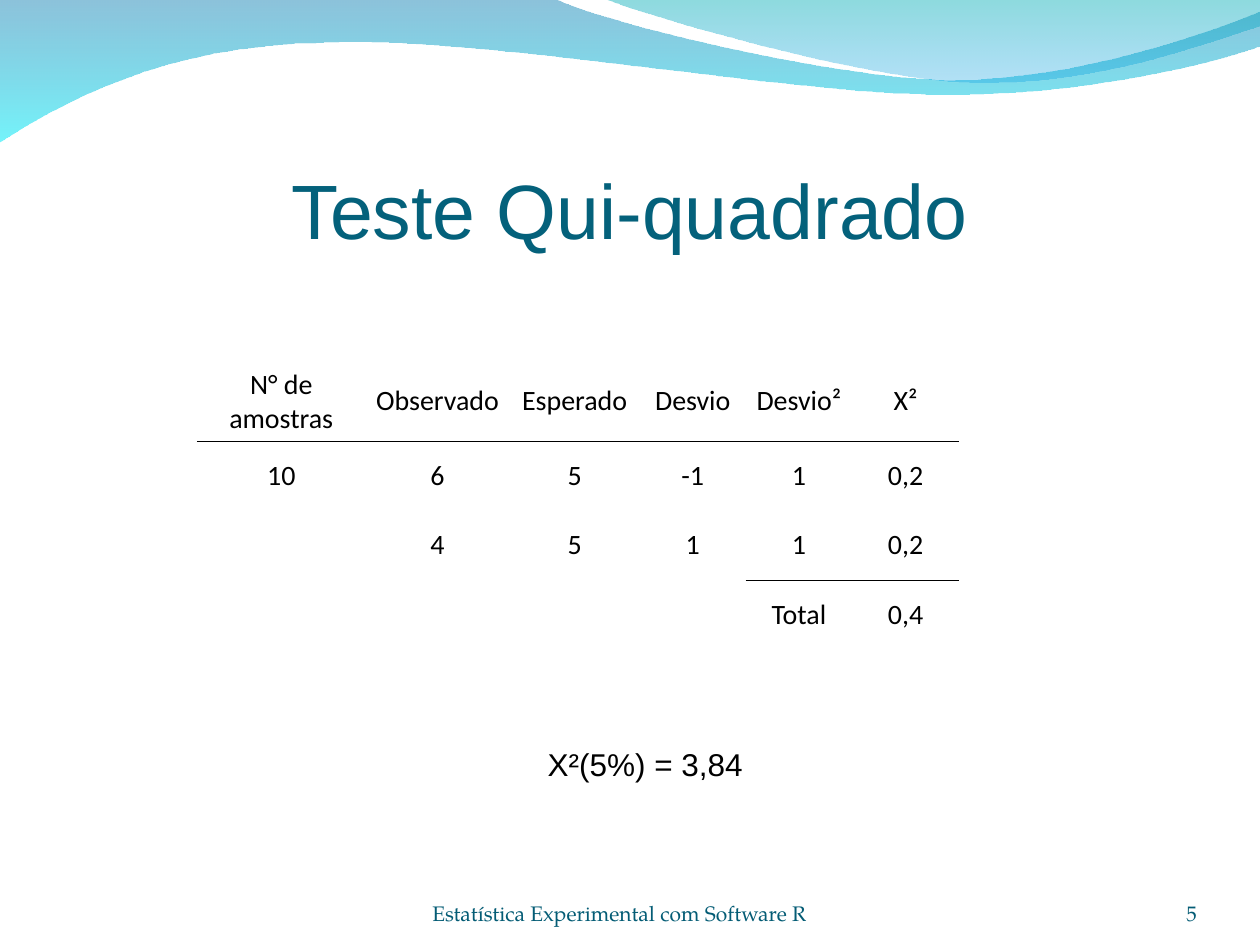
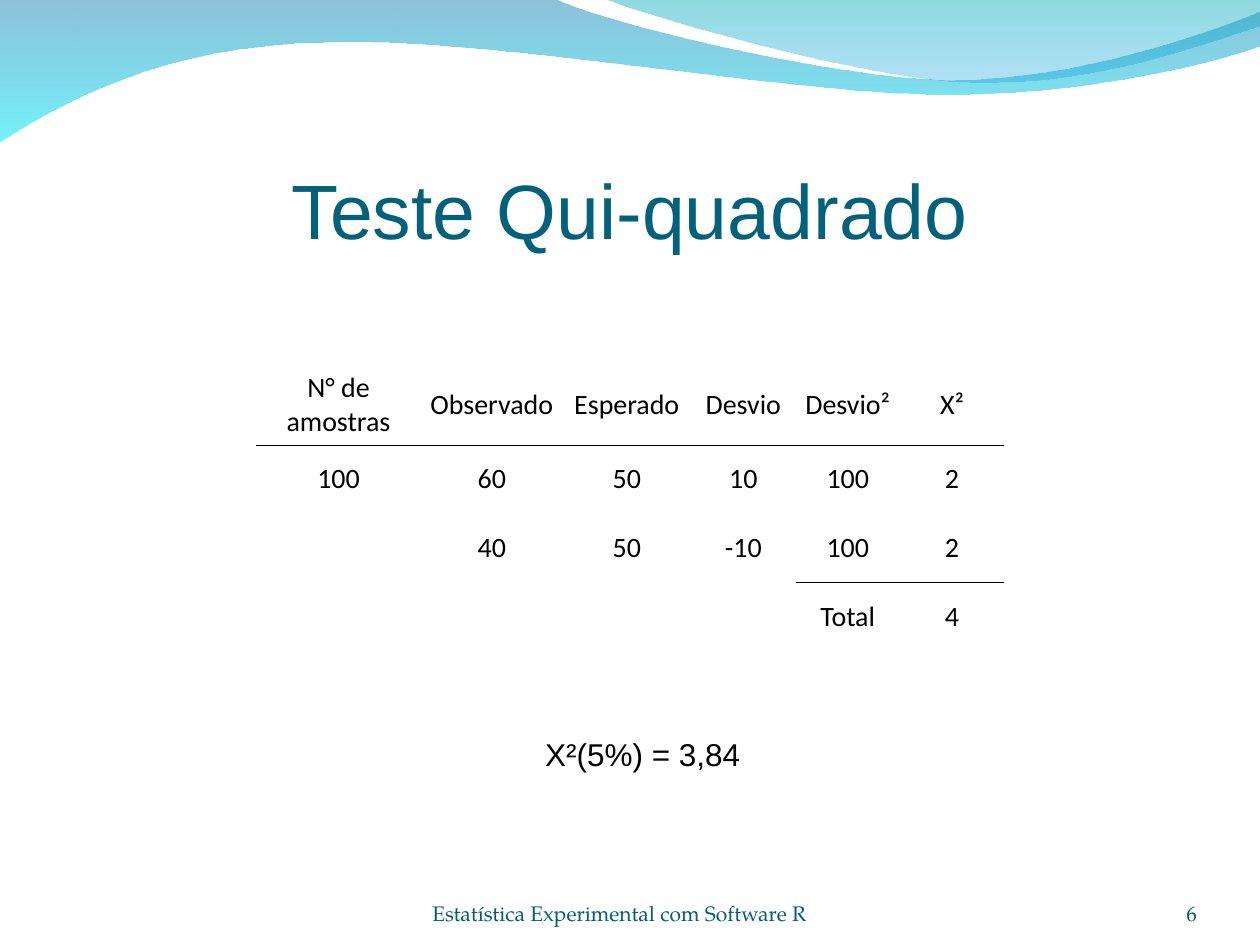
from dataclasses import dataclass

from lxml.etree import SubElement
from pptx import Presentation
from pptx.dml.color import RGBColor
from pptx.enum.text import MSO_ANCHOR, MSO_AUTO_SIZE, PP_ALIGN
from pptx.oxml.ns import qn
from pptx.slide import Slide
from pptx.table import _Cell
from pptx.text.text import TextFrame
from pptx.util import Cm, Pt

COLOURS = {
    "title": "04617B",
    "footer": "045C75",
    "text": "000000",
    "blue": "0079AF",
    "cyan": "00EBF8",
    "teal": "00ADB6",
    "sky": "009BE5",
}
NO_STYLE = "{2D5ABB26-0587-4C30-8999-92F81FD0307C}"
RULE_WIDTH = Pt(0.23)
HEADINGS = ("N° de amostras", "Observado", "Esperado", "Desvio", "Desvio²", "X²")
FIRST_RULED_COLUMN = {0: 0, 2: 4}

Point = tuple[float, float]


@dataclass(frozen=True)
class TextStyle:
    font: str
    size: float
    colour: str
    align: PP_ALIGN
    frame: dict


@dataclass(frozen=True)
class Wave:
    start: Point
    segments: tuple[tuple[Point, ...], ...]
    stops: tuple[tuple[str, int], ...]


@dataclass(frozen=True)
class TestPage:
    number: str
    table_left: float
    table_top: float
    columns: tuple[float, ...]
    row_height: float
    rows: tuple[tuple[str, ...], ...]
    critical_left: float
    critical_top: float


def frame_format(left: float, top: float, right: float, bottom: float, **extra) -> dict:
    return {
        "margin_left": Cm(left),
        "margin_top": Cm(top),
        "margin_right": Cm(right),
        "margin_bottom": Cm(bottom),
        **extra,
    }


FOOTER_FRAME = frame_format(0, 0, 0, 0, vertical_anchor=MSO_ANCHOR.BOTTOM, word_wrap=True)
TITLE_FRAME = frame_format(
    0, 0.13, 0, 0, vertical_anchor=MSO_ANCHOR.BOTTOM, word_wrap=True, auto_size=MSO_AUTO_SIZE.NONE
)
CRITICAL_FRAME = frame_format(
    0.25, 0.13, 0.25, 0.13, word_wrap=False, auto_size=MSO_AUTO_SIZE.SHAPE_TO_FIT_TEXT
)
CELL_FORMAT = frame_format(0.03, 0.13, 0.03, 0.13, vertical_anchor=MSO_ANCHOR.MIDDLE)

TITLE = TextStyle("Arial", 44, "title", PP_ALIGN.CENTER, TITLE_FRAME)
FOOTER = TextStyle("TeX Gyre Pagella", 12, "footer", PP_ALIGN.CENTER, FOOTER_FRAME)
NUMBER = TextStyle("TeX Gyre Pagella", 12, "footer", PP_ALIGN.RIGHT, FOOTER_FRAME)
CRITICAL = TextStyle("Arial", 18, "text", PP_ALIGN.LEFT, CRITICAL_FRAME)
CELL = TextStyle("Calibri", 16, "text", PP_ALIGN.CENTER, {})

WAVES = (
    Wave(
        (0, -0.03),
        (
            ((11.18, -0.03),),
            ((12.09, 0.43), (16.87, 1.6), (19.25, 1.6)),
            ((21.67, 1.6), (24.33, 0.66), (25.4, 0.23)),
            ((25.43, 0.91),),
            ((24.97, 1.12), (22.1, 1.93), (18.95, 1.9)),
            ((15.8, 1.9), (9.7, 0.71), (6.53, 0.86)),
            ((3.28, 0.89), (1.17, 2.11), (-0.03, 2.87)),
            ((0, -0.03),),
        ),
        (("blue", 45), ("cyan", 55)),
    ),
    Wave(
        (12.17, -0.03),
        (
            ((12.93, 0.28), (17.32, 1.57), (19.53, 1.65)),
            ((22.1, 1.75), (24.41, 0.81), (25.4, 0.53)),
            ((25.4, 0),),
            ((12.17, -0.03),),
        ),
        (("teal", 45), ("sky", 30)),
    ),
)

PAGES = (
    TestPage(
        "5", 3.97, 7.28, (3.4, 2.9, 2.63, 2.13, 2.15, 2.15), 1.4,
        (
            ("10", "6", "5", "-1", "1", "0,2"),
            ("", "4", "5", "1", "1", "0,2"),
            ("", "", "", "", "Total", "0,4"),
        ),
        10.79, 14.88,
    ),
    TestPage(
        "6", 5.16, 7.35, (3.33, 2.85, 2.59, 2.11, 2.1, 2.1), 1.39,
        (
            ("100", "60", "50", "10", "100", "2"),
            ("", "40", "50", "-10", "100", "2"),
            ("", "", "", "", "Total", "4"),
        ),
        10.74, 14.68,
    ),
)


def apply_format(target: object, values: dict) -> None:
    for name, value in values.items():
        setattr(target, name, value)


def write_text(frame: TextFrame, text: str, style: TextStyle) -> None:
    apply_format(frame, style.frame)
    para = frame.paragraphs[0]
    para.alignment = style.align
    span = para.add_run()
    span.text = text
    apply_format(span.font, {"name": style.font, "size": Pt(style.size), "bold": False})
    span.font.color.rgb = RGBColor.from_string(COLOURS[style.colour])


def add_text(
    page: Slide, text: str, style: TextStyle, left: float, top: float, width: float
) -> None:
    box = page.shapes.add_textbox(Cm(left), Cm(top), Cm(width), Cm(1.02))
    write_text(box.text_frame, text, style)


def add_wave(page: Slide, wave: Wave, depth: int) -> None:
    builder = page.shapes.build_freeform(*map(Cm, wave.start))
    for segment in wave.segments:
        builder.add_line_segments([(Cm(x), Cm(y)) for x, y in segment], close=False)
    shape = builder.convert_to_shape()
    bend_outline(shape.element, wave)
    shape.shadow.inherit = False
    shape.line.fill.background()
    shape.fill.gradient()
    shape.fill.gradient_angle = 270
    for stop, (colour, _) in zip(shape.fill.gradient_stops, wave.stops):
        stop.color.rgb = RGBColor.from_string(COLOURS[colour])
    for node, (_, opacity) in zip(shape.element.spPr.iter(qn("a:srgbClr")), wave.stops):
        SubElement(node, qn("a:alpha"), val=str(opacity * 1000))
    page.shapes.element.insert(2 + depth, shape.element)


def bend_outline(element, wave: Wave) -> None:
    outline = next(element.iter(qn("a:path")))
    lines = iter(outline.findall(qn("a:lnTo")))
    for segment in wave.segments:
        parts = [next(lines) for _ in segment]
        kind = "a:cubicBezTo" if len(parts) == 3 else "a:lnTo"
        joined = SubElement(outline, qn(kind))
        for part in parts:
            joined.append(part[0])
            outline.remove(part)
    SubElement(outline, qn("a:close"))


def is_ruled(upper_row: int, column: int) -> bool:
    return column >= FIRST_RULED_COLUMN.get(upper_row, len(HEADINGS))


def set_borders(cell: _Cell, row: int, column: int) -> None:
    ruled = {"L": False, "R": False, "T": is_ruled(row - 1, column), "B": is_ruled(row, column)}
    properties = cell._tc.get_or_add_tcPr()
    for side, visible in ruled.items():
        border = SubElement(properties, qn(f"a:ln{side}"), w=str(RULE_WIDTH))
        if visible:
            fill = SubElement(border, qn("a:solidFill"))
            SubElement(fill, qn("a:srgbClr"), val=COLOURS["text"])
        else:
            SubElement(border, qn("a:noFill"))


def add_test_table(page: Slide, content: TestPage) -> None:
    rows = (HEADINGS, *content.rows)
    table = page.shapes.add_table(
        len(rows), len(HEADINGS), Cm(content.table_left), Cm(content.table_top),
        Cm(sum(content.columns)), Cm(content.row_height * len(rows)),
    ).table
    table._tbl.tblPr[0].text = NO_STYLE
    apply_format(table, {"first_row": False, "horz_banding": False})
    for column, width in zip(table.columns, content.columns):
        column.width = Cm(width)
    for row_index, row in enumerate(rows):
        table.rows[row_index].height = Cm(content.row_height)
        for column_index, text in enumerate(row):
            cell = table.cell(row_index, column_index)
            apply_format(cell, CELL_FORMAT)
            set_borders(cell, row_index, column_index)
            cell.fill.background()
            if text:
                write_text(cell.text_frame, text, CELL)


def add_page(deck: Presentation, content: TestPage) -> None:
    page = deck.slides.add_slide(deck.slide_layouts[5])
    for depth, wave in enumerate(WAVES):
        add_wave(page, wave, depth)
    title = page.shapes.title
    apply_format(
        title, {"left": Cm(1.27), "top": Cm(1.96), "width": Cm(22.86), "height": Cm(3.17)}
    )
    write_text(title.text_frame, "Teste Qui-quadrado", TITLE)
    add_text(page, "Estatística Experimental com Software R", FOOTER, 7.83, 17.64, 9.32)
    add_text(page, content.number, NUMBER, 22.02, 17.65, 2.11)
    add_test_table(page, content)
    add_text(
        page, "X²(5%) = 3,84", CRITICAL, content.critical_left, content.critical_top, 4.45
    )


def main() -> None:
    deck = Presentation()
    apply_format(deck, {"slide_width": Cm(25.4), "slide_height": Cm(19.05)})
    for content in PAGES:
        add_page(deck, content)
    deck.save("out.pptx")


if __name__ == "__main__":
    main()
